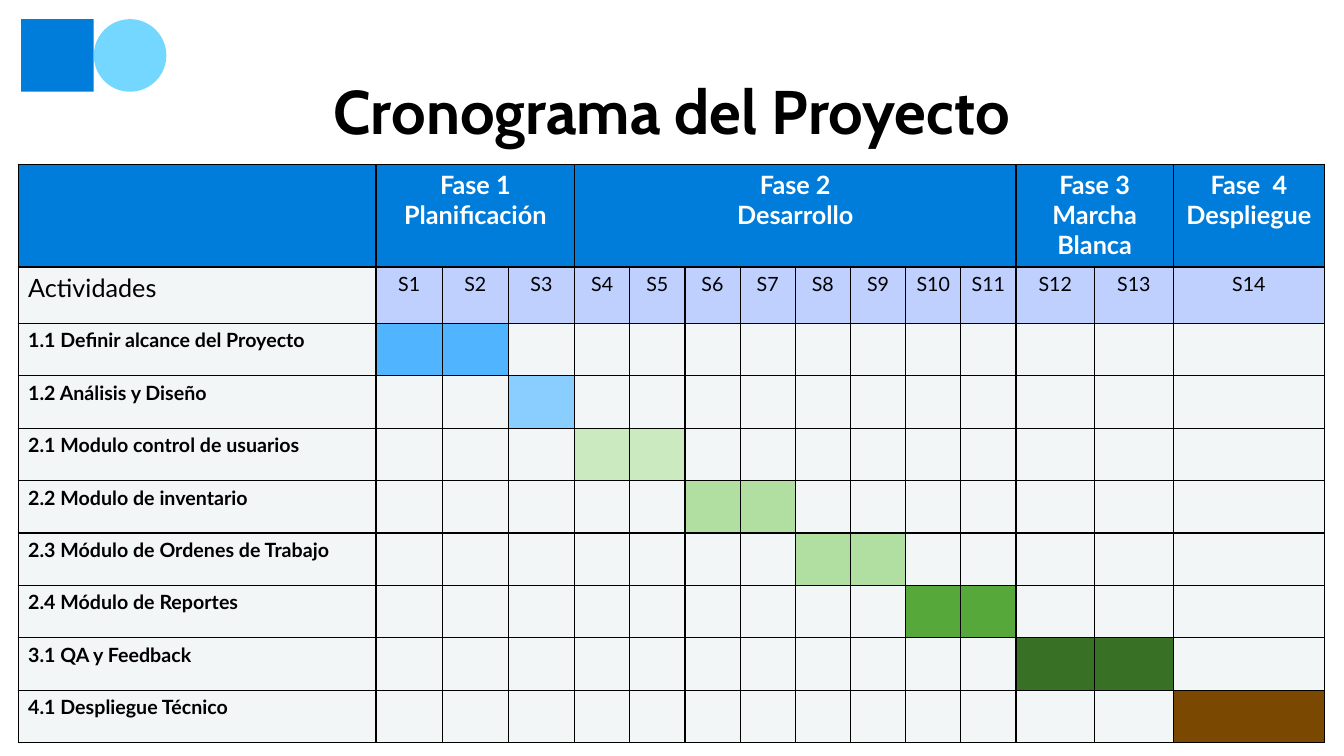
from lxml.etree import SubElement
from pptx import Presentation
from pptx.dml.color import RGBColor
from pptx.enum.shapes import MSO_SHAPE
from pptx.enum.text import MSO_ANCHOR, PP_ALIGN
from pptx.oxml.ns import qn
from pptx.util import Inches, Pt

BLUE, PALE, LILAC, BLACK, WHITE = "007DDA", "F2F6F7", "BFCFFE", "000000", "FFFFFF"

# name, weeks, width of the whole phase
PHASES = [
    ("Fase 1\nPlanificación", 3, 1.97),
    ("Fase 2\nDesarrollo", 8, 4.38),
    ("Fase 3\nMarcha Blanca", 2, 1.56),
    ("Fase  4\nDespliegue", 1, 1.5),
]
# name, first week, last week, bar colour
TASKS = [
    ("1.1 Definir alcance del Proyecto", 1, 2, "50B4FF"),
    ("1.2 Análisis y Diseño", 3, 3, "8ACDFF"),
    ("2.1 Modulo control de usuarios", 4, 5, "CBEAC0"),
    ("2.2 Modulo de inventario", 6, 7, "B0DFA1"),
    ("2.3 Módulo de Ordenes de Trabajo", 8, 9, "B0DFA1"),
    ("2.4 Módulo de Reportes", 10, 11, "55A839"),
    ("3.1 QA y Feedback", 12, 13, "387026"),
    ("4.1 Despliegue Técnico", 14, 14, "7A4800"),
]
WEEKS = sum(weeks for _, weeks, _ in PHASES)


def paint(fill, color):
    fill.solid()
    fill.fore_color.rgb = RGBColor.from_string(color)


def write(frame, text, size, color, bold, align, face="Lato"):
    frame.text = text
    for para in frame.paragraphs:
        para.alignment = align
        para.font.name = face
        para.font.size = Pt(size)
        para.font.bold = bold
        paint(para.font.fill, color)


deck = Presentation()
deck.slide_width, deck.slide_height = Inches(13.33), Inches(7.5)
slide = deck.slides.add_slide(deck.slide_layouts[6])

# Corner mark
side = 0.72
for col, (kind, color) in enumerate([(MSO_SHAPE.RECTANGLE, BLUE), (MSO_SHAPE.OVAL, "73D7FF")]):
    mark = slide.shapes.add_shape(
        kind, Inches(0.21 + col * side), Inches(0.19), Inches(side), Inches(side))
    mark.shadow.inherit = False
    mark.line.fill.background()
    paint(mark.fill, color)

# Title
title = slide.shapes.add_textbox(Inches(1.76), Inches(0.8), Inches(9.81), Inches(0.58))
frame = title.text_frame
frame.word_wrap = True
frame.vertical_anchor = MSO_ANCHOR.MIDDLE
frame.margin_left = frame.margin_right = frame.margin_top = frame.margin_bottom = 0
write(frame, "Cronograma del Proyecto", 44, BLACK, True, PP_ALIGN.CENTER, "Cabin")

# Schedule grid
table = slide.shapes.add_table(
    len(TASKS) + 2, WEEKS + 1, Inches(0.18), Inches(1.63), Inches(12.97), Inches(5.71)).table
table.first_row = table.horz_banding = False
widths = [3.55] + [width / weeks for _, weeks, width in PHASES for _ in range(weeks)]
heights = [1.02, 0.56] + [0.52] * len(TASKS)
for col, width in zip(table.columns, widths):
    col.width = Inches(width)
for row, height in zip(table.rows, heights):
    row.height = Inches(height)

for cell in table.iter_cells():
    props = cell._tc.get_or_add_tcPr()
    for edge in ("a:lnL", "a:lnR", "a:lnT", "a:lnB"):
        line = SubElement(props, qn(edge), w=str(Pt(1)))
        SubElement(SubElement(line, qn("a:solidFill")), qn("a:srgbClr"), val=BLACK)
    paint(cell.fill, PALE)

# Phase row
for col in range(WEEKS + 1):
    paint(table.cell(0, col).fill, BLUE)
start = 1
for name, weeks, _ in PHASES:
    cell = table.cell(0, start)
    if weeks > 1:
        cell.merge(table.cell(0, start + weeks - 1))
    write(cell.text_frame, name, 18, WHITE, True, PP_ALIGN.CENTER)
    start += weeks

# Week row
write(table.cell(1, 0).text_frame, "Actividades", 18, BLACK, False, PP_ALIGN.LEFT)
for week in range(1, WEEKS + 1):
    cell = table.cell(1, week)
    paint(cell.fill, LILAC)
    write(cell.text_frame, f"S{week}", 14, BLACK, False, PP_ALIGN.CENTER)

# Task rows
for row, (name, first, last, color) in enumerate(TASKS, 2):
    write(table.cell(row, 0).text_frame, name, 14, BLACK, True, PP_ALIGN.LEFT)
    for week in range(first, last + 1):
        paint(table.cell(row, week).fill, color)

deck.save("out.pptx")
